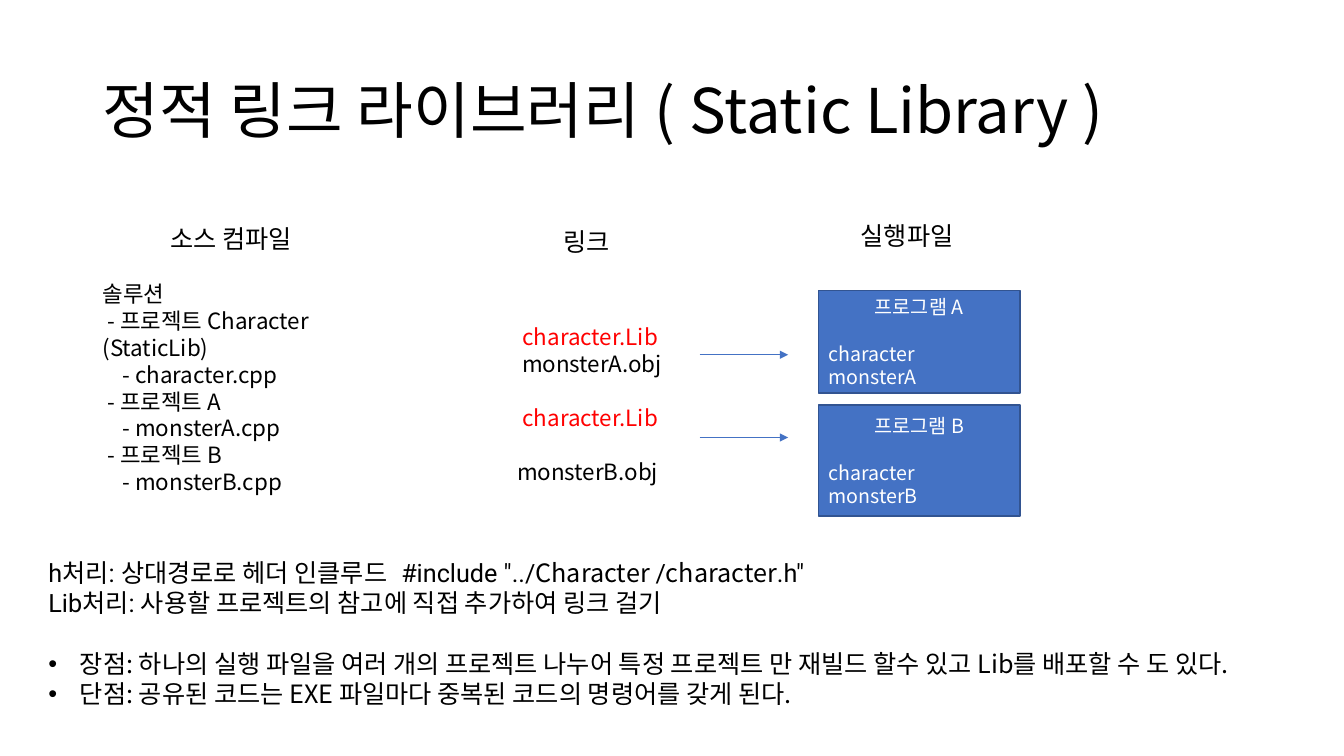
from lxml import etree
from pptx import Presentation
from pptx.dml.color import RGBColor
from pptx.enum.shapes import MSO_CONNECTOR, MSO_SHAPE
from pptx.enum.text import MSO_ANCHOR, MSO_AUTO_SIZE, PP_ALIGN
from pptx.oxml.ns import qn
from pptx.util import Pt

LEFT, CENTER = PP_ALIGN.LEFT, PP_ALIGN.CENTER
TOP, MIDDLE = MSO_ANCHOR.TOP, MSO_ANCHOR.MIDDLE
RECT, LINE = MSO_SHAPE.RECTANGLE, MSO_CONNECTOR.STRAIGHT
FIXED = MSO_AUTO_SIZE.NONE
KOREAN, LATIN = "Noto Sans CJK KR", "Roboto"
COLORS = {"black": "000000", "white": "FFFFFF", "red": "FF0000",
          "blue": "4472C4", "edge": "325491"}


def rgb(name):
    return RGBColor.from_string(COLORS[name])


def write(frame, row, text, size=16, font=KOREAN, color="black", align=LEFT,
          gap=0, left=0, first=0, bullet=False, tab=None, lead=None):
    while len(frame.paragraphs) <= row:
        frame.add_paragraph()
    para = frame.paragraphs[row]
    para.alignment = align
    para.space_before = Pt(gap)
    para.line_spacing = lead or Pt(round(size * 1.2, 1))
    props = para._p.get_or_add_pPr()
    props.set("marL", str(Pt(left)))
    props.set("indent", str(Pt(first)))
    if bullet:
        etree.SubElement(props, qn("a:buFont")).set("typeface", "Arial")
        etree.SubElement(props, qn("a:buChar")).set("char", "•")
    else:
        etree.SubElement(props, qn("a:buNone"))
    if tab:
        stops = etree.SubElement(props, qn("a:tabLst"))
        stop = etree.SubElement(stops, qn("a:tab"))
        stop.set("pos", str(Pt(tab)))
        stop.set("algn", "l")
    parts = [(text, font)] if isinstance(text, str) else text
    for words, face in parts:
        run = para.add_run()
        run.text = words
        run.font.size = Pt(size)
        run.font.name = face
        run.font.color.rgb = rgb(color)
        east = etree.SubElement(run._r.get_or_add_rPr(), qn("a:ea"))
        east.set("typeface", KOREAN)


def place(shape, x, y, wide, high, anchor):
    shape.left, shape.top = Pt(x), Pt(y)
    shape.width, shape.height = Pt(wide), Pt(high)
    frame = shape.text_frame
    frame.word_wrap = True
    frame.auto_size = FIXED
    frame.vertical_anchor = anchor
    return frame


def add_box(slide, x, y, wide, high):
    box = slide.shapes.add_textbox(Pt(x), Pt(y), Pt(wide), Pt(high))
    return place(box, x, y, wide, high, TOP)


def add_program(slide, name, y, high):
    shape = slide.shapes.add_shape(RECT, Pt(584.6), Pt(y), Pt(144), Pt(high))
    shape.shadow.inherit = False
    shape.fill.solid()
    shape.fill.fore_color.rgb = rgb("blue")
    shape.line.color.rgb = rgb("edge")
    shape.line.width = Pt(1)
    frame = shape.text_frame
    frame.vertical_anchor = MIDDLE
    write(frame, 0, f"프로그램 {name}", size=14, color="white", align=CENTER)
    write(frame, 1, "character", size=14, color="white", gap=16.8)
    write(frame, 2, f"monster{name}", size=14, color="white")


def add_arrow(slide, y):
    arrow = slide.shapes.add_connector(LINE, Pt(499.7), Pt(y), Pt(563), Pt(y))
    arrow.line.color.rgb = rgb("blue")
    arrow.line.width = Pt(0.5)
    tail = etree.SubElement(arrow.line._get_or_add_ln(), qn("a:tailEnd"))
    tail.set("type", "triangle")
    etree.SubElement(arrow._element.spPr, qn("a:effectLst"))


def add_link(slide, name, y, gap, first):
    frame = add_box(slide, 362.2, y, 118, 48)
    write(frame, 0, "character.Lib", color="red", first=4)
    write(frame, 1, f"monster{name}.obj", gap=gap, first=first)


def add_source(slide):
    frame = add_box(slide, 66.2, 196.6, 240, 165)
    rows = [("솔루션", 0), ("- 프로젝트 Character (StaticLib)", 1),
            ("- character.cpp", 2), ("- 프로젝트 A", 1), ("- monsterA.cpp", 2),
            ("- 프로젝트 B", 1), ("- monsterB.cpp", 2)]
    for row, (text, level) in enumerate(rows):
        write(frame, row, text, first=(0, 3.6, 14.3)[level])


def add_notes(body):
    frame = place(body, 27.4, 394.6, 853.9, 138.2, TOP)
    header = [("h처리: 상대경로로 헤더 인클루드\t#include \"../", LATIN),
              ("Character ", KOREAN), ("/", LATIN),
              ("character", KOREAN), (".h\"", LATIN)]
    write(frame, 0, header, size=18, tab=277)
    write(frame, 1, "Lib처리: 사용할 프로젝트의 참고에 직접 추가하여 링크 걸기",
          size=18, font=LATIN)
    points = ["장점: 하나의 실행 파일을 여러 개의 프로젝트 나누어 특정 프로젝트 만 "
              "재빌드 할수 있고 Lib를 배포할 수 도 있다.",
              "단점: 공유된 코드는 EXE 파일마다 중복된 코드의 명령어를 갖게 된다."]
    for row, text in enumerate(points):
        write(frame, row + 2, text, size=18, left=22.5, first=-22.5,
              bullet=True, gap=0 if row else 21.6)


def main():
    deck = Presentation()
    deck.slide_width, deck.slide_height = Pt(960), Pt(540)
    slide = deck.slides.add_slide(deck.slide_layouts[1])
    title = place(slide.shapes.title, 66.2, 28.8, 828, 104.4, MIDDLE)
    write(title, 0, "정적 링크 라이브러리 ( Static Library )", size=44, lead=0.9)
    add_notes(slide.placeholders[1])
    heads = [("소스 컴파일", 114.5, 156.2, 111.6), ("링크", 395.3, 158.4, 51),
             ("실행파일", 607.7, 154.1, 87)]
    for text, x, y, wide in heads:
        write(add_box(slide, x, y, wide, 28.8), 0, text, size=18)
    add_source(slide)
    programs = [("A", 207.4, 73.4, 227.5, 0, 3.6, 253.4),
                ("B", 289.4, 79.2, 285.1, 19.2, 0, 312.5)]
    for name, top, high, link, gap, first, arrow in programs:
        add_link(slide, name, link, gap, first)
        add_arrow(slide, arrow)
        add_program(slide, name, top, high)
    deck.save("out.pptx")


if __name__ == "__main__":
    main()
